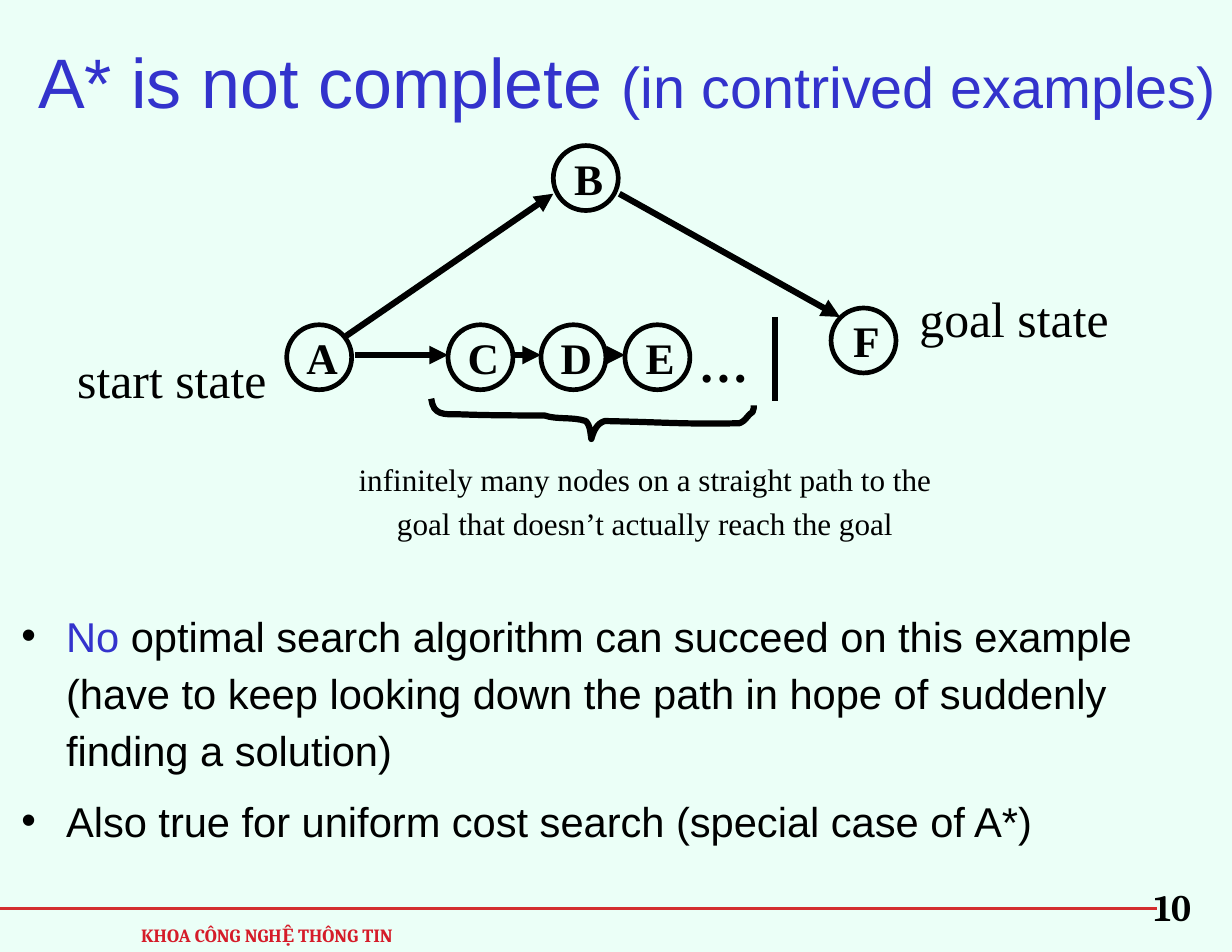
from lxml import etree
from pptx import Presentation
from pptx.dml.color import RGBColor
from pptx.enum import shapes, text
from pptx.oxml.ns import qn
from pptx.util import Inches, Pt

BLACK, BLUE, RED, CRIMSON, MINT = "000000", "3333CC", "D32F2F", "D51C29", "EBFFF7"
SERIF = "Times New Roman"
NODE_SIZE = 0.58
NODES = {"A": (2.56, 2.9), "B": (4.94, 1.3), "C": (4, 2.9),
         "D": (4.83, 2.9), "E": (5.58, 2.9), "F": (7.42, 2.75)}
ARROWS = [((3.09, 3), (4.94, 1.73)), ((5.53, 1.73), (7.5, 2.83)),
          ((3.17, 3.17), (4, 3.17)), ((4.58, 3.17), (4.83, 3.17)),
          ((5.5, 3.17), (5.58, 3.17))]
BRACE_START = (3.85, 3.56)
BRACE_CURVES = [
    ((3.87, 3.71), (3.96, 3.7), (4.1, 3.7)),
    ((4.36, 3.71), (4.61, 3.71), (4.86, 3.71)),
    ((4.98, 3.75), (5.11, 3.72), (5.23, 3.76)),
    ((5.27, 3.8), (5.27, 3.86), (5.28, 3.92)),
    ((5.3, 3.85), (5.33, 3.78), (5.4, 3.76)),
    ((5.92, 3.77), (6.1, 3.79), (6.6, 3.78)),
    ((6.66, 3.76), (6.67, 3.71), (6.72, 3.68)),
    ((6.73, 3.64), (6.73, 3.66), (6.73, 3.62)),
]


def rgb(value):
    """Turn a hex string into a colour."""
    return RGBColor.from_string(value)


def style(font, size, color=BLACK, name=SERIF, bold=False):
    """Set the look of a font."""
    font.size, font.name, font.bold = Pt(size), name, bold
    font.color.rgb = rgb(color)


def place(shape, left, top, width, height):
    """Move and size a placeholder."""
    shape.left, shape.top = Inches(left), Inches(top)
    shape.width, shape.height = Inches(width), Inches(height)


def set_frame(frame, anchor):
    """Give a placeholder its insets and anchor."""
    frame.margin_left = frame.margin_right = Inches(0.11)
    frame.margin_top = frame.margin_bottom = Inches(0.06)
    frame.vertical_anchor = anchor
    frame.auto_size = text.MSO_AUTO_SIZE.NONE
    frame.word_wrap = True


def add_label(slide, box, words, size, wrap=False, **look):
    """Add a centred text box."""
    frame = slide.shapes.add_textbox(*map(Inches, box)).text_frame
    frame.word_wrap = wrap
    line = frame.paragraphs[0]
    line.text = words
    line.alignment = text.PP_ALIGN.CENTER
    line.line_spacing = 1.18
    style(line.font, size, **look)


def add_node(slide, letter, left, top):
    """Add a lettered circle of the graph."""
    node = slide.shapes.add_shape(shapes.MSO_SHAPE.OVAL, Inches(left), Inches(top),
                                  Inches(NODE_SIZE), Inches(NODE_SIZE))
    node.shadow.inherit = False
    node.fill.background()
    node.line.color.rgb, node.line.width = rgb(BLACK), Pt(3)
    frame = node.text_frame
    frame.margin_left, frame.margin_bottom = Inches(0.05), 0
    frame.margin_right = frame.margin_top = 0
    frame.word_wrap = False
    frame.vertical_anchor = text.MSO_ANCHOR.MIDDLE
    name = frame.paragraphs[0]
    name.text = letter
    name.alignment = text.PP_ALIGN.CENTER
    style(name.font, 28, bold=True)


def add_line(slide, start, end, width=4, color=BLACK, arrow=False):
    """Add a straight line, with an arrowhead at its end if wanted."""
    line = slide.shapes.add_connector(shapes.MSO_CONNECTOR.STRAIGHT,
                                      *map(Inches, start + end))
    line.line.color.rgb, line.line.width = rgb(color), Pt(width)
    if arrow:
        etree.SubElement(line.line._get_or_add_ln(), qn("a:tailEnd"), type="triangle")
    etree.SubElement(line._element.spPr, qn("a:effectLst"))


def curve_points(start, curves, steps=8):
    """Sample a chain of cubic curves."""
    points = []
    for first, second, end in curves:
        for step in range(1, steps + 1):
            t = step / steps
            weights = ((1 - t) ** 3, 3 * t * (1 - t) ** 2, 3 * t * t * (1 - t), t ** 3)
            points.append(tuple(
                Inches(sum(w * p[axis] for w, p in zip(weights, (start, first, second, end))))
                for axis in (0, 1)))
        start = end
    return points


def add_brace(slide):
    """Draw the brace under the endless path."""
    outline = slide.shapes.build_freeform(*map(Inches, BRACE_START))
    outline.add_line_segments(curve_points(BRACE_START, BRACE_CURVES), close=False)
    brace = outline.convert_to_shape()
    brace.shadow.inherit = False
    brace.fill.background()
    brace.line.color.rgb, brace.line.width = rgb(BLACK), Pt(4)


def fill_title(title):
    """Write the heading with its smaller remark."""
    place(title, 0.2, 0, 10.8, 1.25)
    set_frame(title.text_frame, text.MSO_ANCHOR.MIDDLE)
    heading = title.text_frame.paragraphs[0]
    heading.alignment = text.PP_ALIGN.CENTER
    heading.line_spacing = 1.24
    for words, size in (("A* is not complete ", 45), ("(in contrived examples)", 37)):
        run = heading.add_run()
        run.text = words
        style(run.font, size, BLUE, "Arial")


def fill_body(body):
    """Write the two bulleted conclusions."""
    place(body, 0.08, 5.33, 10.92, 2.25)
    frame = body.text_frame
    set_frame(frame, text.MSO_ANCHOR.TOP)
    conclusions = [
        [("No", BLUE), (" optimal search algorithm can succeed on this example (have to keep "
                        "looking down the path in hope of suddenly finding a solution)", BLACK)],
        [("Also true for uniform cost search (special case of A*)", BLACK)],
    ]
    for index, parts in enumerate(conclusions):
        point = frame.add_paragraph() if index else frame.paragraphs[0]
        point.line_spacing = 1.14
        point.space_before = Pt(9 if index else 0)
        props = point._p.get_or_add_pPr()
        props.set("marL", str(Inches(0.4)))
        props.set("indent", str(Inches(-0.4)))
        bullet_color = etree.SubElement(props, qn("a:buClr"))
        etree.SubElement(bullet_color, qn("a:srgbClr"), val=BLACK)
        etree.SubElement(props, qn("a:buChar"), char="•")
        for words, color in parts:
            run = point.add_run()
            run.text = words
            style(run.font, 26.8, color, "Arial")


def main():
    """Build the slide and save it."""
    deck = Presentation()
    deck.slide_width, deck.slide_height = Inches(11), Inches(8.5)
    slide = deck.slides.add_slide(deck.slide_layouts[1])
    slide.background.fill.solid()
    slide.background.fill.fore_color.rgb = rgb(MINT)

    add_line(slide, (0, 8.11), (10.33, 8.11), 2.25, RED)
    add_label(slide, (1.12, 8.16, 2.53, 0.34), "KHOA CÔNG NGHỆ THÔNG TIN", 12, True,
              color=CRIMSON, name="Cambria", bold=True)
    add_label(slide, (10.08, 7.77, 0.78, 0.57), "10", 24, True, name="Cambria", bold=True)
    fill_title(slide.shapes.title)
    fill_body(slide.placeholders[1])

    for letter, corner in NODES.items():
        add_node(slide, letter, *corner)
    for start, end in ARROWS:
        add_line(slide, start, end, arrow=True)
    add_line(slide, (6.92, 2.83), (6.92, 3.58))
    add_brace(slide)
    add_label(slide, (6.14, 2.83, 0.64, 0.73), "…", 32, bold=True)
    add_label(slide, (0.59, 2.97, 1.89, 0.73), "start state", 32)
    add_label(slide, (8.11, 2.42, 1.89, 0.73), "goal state", 32)
    add_label(slide, (2.85, 4, 5.82, 0.89), "infinitely many nodes on a straight path to the "
              "goal that doesn’t actually reach the goal", 20, True)
    deck.save("out.pptx")


if __name__ == "__main__":
    main()
